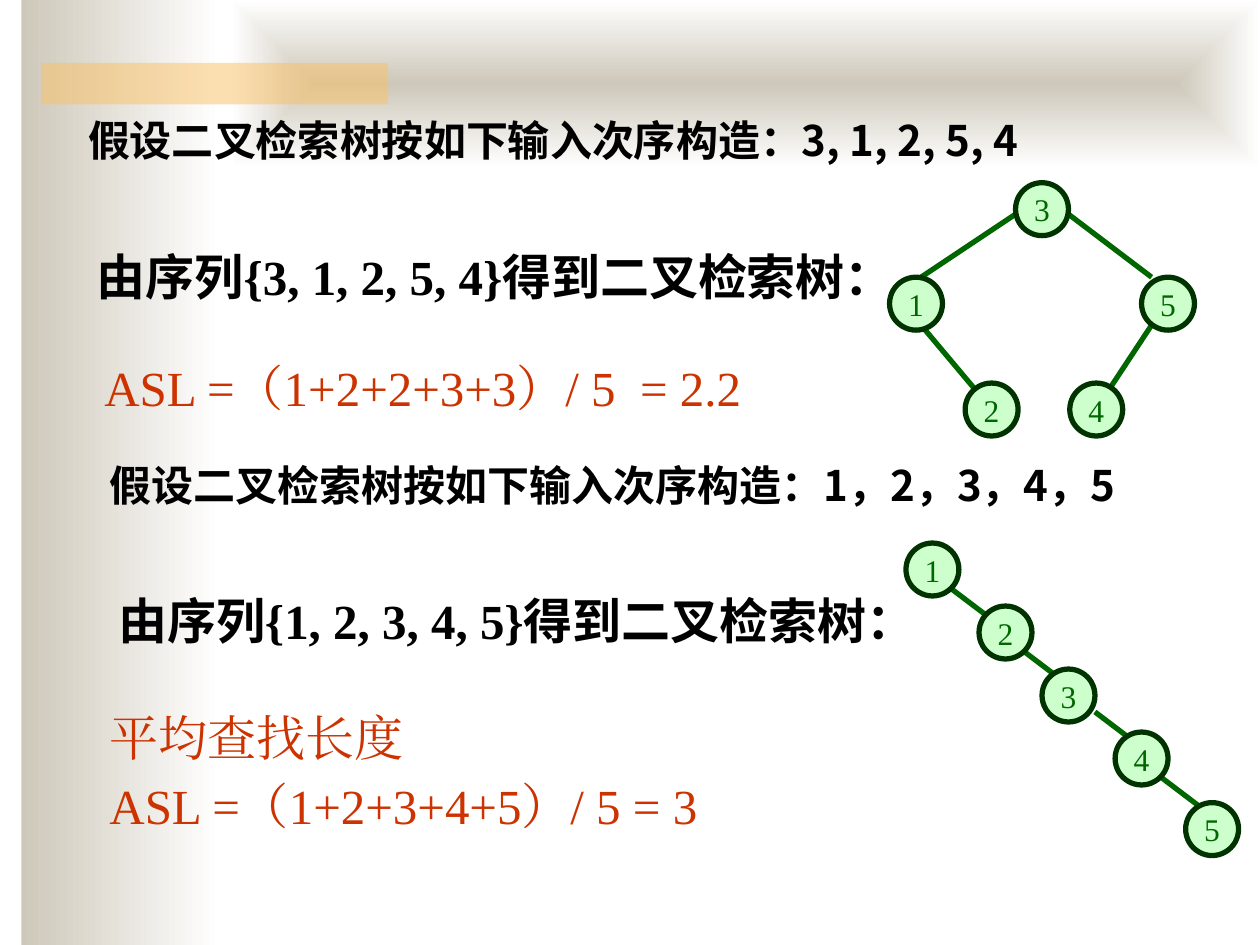
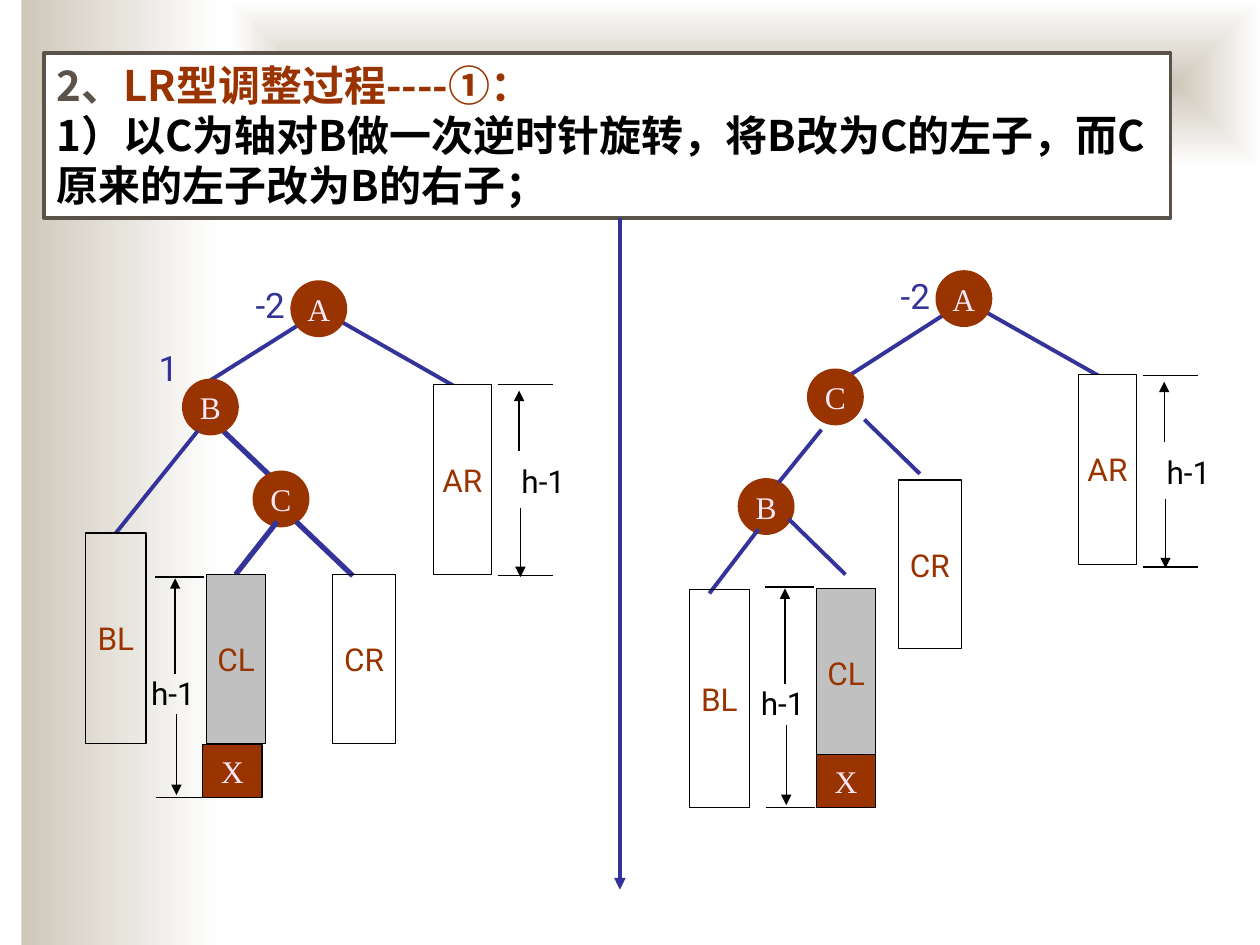
from dataclasses import dataclass

from lxml import etree
from pptx import Presentation
from pptx.dml.color import RGBColor
from pptx.enum.shapes import MSO_CONNECTOR, MSO_SHAPE
from pptx.enum.text import MSO_ANCHOR, MSO_AUTO_SIZE, PP_ALIGN
from pptx.oxml.ns import qn
from pptx.util import Inches, Pt

RECT, OVAL, LINE = MSO_SHAPE.RECTANGLE, MSO_SHAPE.OVAL, MSO_CONNECTOR.STRAIGHT
CENTER, JUSTIFY = PP_ALIGN.CENTER, PP_ALIGN.JUSTIFY
TOP, MIDDLE = MSO_ANCHOR.TOP, MSO_ANCHOR.MIDDLE
GROW = MSO_AUTO_SIZE.SHAPE_TO_FIT_TEXT

CJK, SANS, SERIF = "Noto Sans CJK SC", "Roboto", "Times New Roman"


@dataclass(frozen=True)
class Theme:
    """Colours, and text styles as (size, font, colour, bold)."""
    black: str = "000000"
    white: str = "FFFFFF"
    sand: str = "CEC8BA"
    gold: str = "FAC164"
    stone: str = "5B5249"
    rust: str = "993300"
    navy: str = "333399"
    gray: str = "C0C0C0"
    green: str = "006600"
    pine: str = "003300"
    mint: str = "CCFFCC"
    head: tuple = (24, CJK, "000000", True)
    lead: tuple = (24, CJK, "5B5249", True)
    title: tuple = (24, CJK, "993300", True)
    body: tuple = (28, CJK, "000000", True)
    keys: tuple = (28, SERIF, "000000", True)
    sums: tuple = (28, SERIF, "CC3300", False)
    node: tuple = (18, SERIF, "006600", False)
    disc: tuple = (18, SERIF, "FEE8F7", False)
    tag: tuple = (18, SANS, "993300", False)
    size: tuple = (18, SANS, "000000", False)
    factor: tuple = (20, SANS, "333399", False)


T = Theme()


def put(shapes, at, paras=(), kind=None, fill=None, edge=None, width=0.75):
    """Add a text box, or a preset shape with centred text, from paragraphs of (text, style) runs."""
    at = [Inches(n) for n in at]
    if kind is None:
        item = shapes.add_textbox(*at)
    else:
        item = shapes.add_shape(kind, *at)
        item.shadow.inherit = False
        if fill:
            item.fill.solid()
            item.fill.fore_color.rgb = RGBColor.from_string(fill)
        else:
            item.fill.background()
        if edge:
            item.line.color.rgb = RGBColor.from_string(edge)
            item.line.width = Pt(width)
        else:
            item.line.fill.background()
    frame = item.text_frame
    frame.word_wrap = kind is None
    frame.vertical_anchor = TOP if kind is None else MIDDLE
    for i, runs in enumerate(paras):
        para = frame.add_paragraph() if i else frame.paragraphs[0]
        if kind is not None:
            para.alignment = CENTER
        for text, style in runs:
            if text == "\n":
                para.add_line_break()
                continue
            run = para.add_run()
            run.text = text
            size, face, color, bold = style
            run.font.size, run.font.name, run.font.bold = Pt(size), face, bold
            run.font.color.rgb = RGBColor.from_string(color)
            east = etree.SubElement(run.font._element, qn("a:ea"))
            east.set("typeface", face)
    return item


def link(shapes, ends, color, width, arrow=False):
    """Add a straight line from (x1, y1) to (x2, y2), with an arrowhead at its end if asked."""
    item = shapes.add_connector(LINE, *[Inches(n) for n in ends])
    item.line.color.rgb = RGBColor.from_string(color)
    item.line.width = Pt(width)
    props = item._element.spPr
    if arrow:
        etree.SubElement(props.find(qn("a:ln")), qn("a:tailEnd")).set("type", "triangle")
    etree.SubElement(props, qn("a:effectLst"))


deck = Presentation()
deck.slide_width, deck.slide_height = Inches(10), Inches(7.5)

# Shared bands on both slides
pages = []
for _ in range(2):
    shapes = deck.slides.add_slide(deck.slide_layouts[6]).shapes
    side = put(shapes, (0.17, 0, 1.58, 7.5), kind=RECT)
    top = put(shapes, (1.83, 0, 8.17, 1.33), kind=RECT)
    for band in (side, top):
        band.fill.gradient()
        band.fill.gradient_angle = 0
        for stop, color, spot in zip(band.fill.gradient_stops, (T.sand, T.white), (0, 1)):
            stop.color.rgb = RGBColor.from_string(color)
            stop.position = spot
    grad = top._element.spPr.find(qn("a:gradFill"))
    grad.remove(grad.find(qn("a:lin")))
    shade = etree.SubElement(grad, qn("a:path"))
    shade.set("path", "shape")
    focus = etree.SubElement(shade, qn("a:fillToRect"))
    for edge in "ltrb":
        focus.set(edge, "50000")
    bar = put(shapes, (0.33, 0.5, 2.75, 0.33), kind=RECT, fill=T.gold)
    tint = bar._element.spPr.find(qn("a:solidFill"))[0]
    etree.SubElement(tint, qn("a:alpha")).set("val", "50000")
    pages.append(shapes)

# Slide 1: search trees from two input orders
shapes = pages[0]
for x, y, order in ((0.6, 0.86, "3, 1, 2, 5, 4"), (0.77, 3.6, "1,2,3,4,5")):
    text = "假设二叉检索树按如下输入次序构造:" + order
    text = text.replace(":", "\uff1a")
    if x > 0.7:
        text = text.replace(",", "\uff0c")
    box = put(shapes, (x, y, 8.82, 0.62), [[(text, T.head)]])
    para = box.text_frame.paragraphs[0]
    para.alignment, para.space_before = JUSTIFY, Pt(4.8)
    inset = para._p.get_or_add_pPr()
    inset.set("marL", str(Inches(0.38)))
    inset.set("indent", str(-Inches(0.38)))

notes = (
    ((0.67, 1.84, 6.94, 0.59),
     [[("由序列", T.body), ("{3, 1, 2, 5, 4}", T.keys), ("得到二叉检索树\uff1a", T.body)]]),
    ((0.73, 2.72, 5.82, 0.64), [[("ASL =\uff081+2+2+3+3\uff09/ 5  = 2.2", T.sums)]]),
    ((0.84, 4.57, 6.94, 0.64),
     [[("由序列", T.body), ("{1, 2, 3, 4, 5}", T.keys), ("得到二叉检索树\uff1a", T.body)]]),
    ((0.77, 5.5, 6.88, 1.14),
     [[("平均查找长度", T.sums)], [("ASL =\uff081+2+3+4+5\uff09/ 5 = 3", T.sums)]]),
)
for at, paras in notes:
    box = put(shapes, at, paras)
    box.text_frame.auto_size = GROW
    for para in box.text_frame.paragraphs:
        para.line_spacing = 1.15

bushy = ((8.06, 1.45, "3"), (9.06, 2.2, "5"), (8.49, 3.04, "4"),
         (7.06, 2.2, "1"), (7.66, 3.04, "2"))
chain = ((7.19, 4.31, "1"), (7.77, 4.81, "2"), (8.27, 5.31, "3"),
         (8.85, 5.81, "4"), (9.41, 6.37, "5"))
arms = [(8.06, 1.7, 7.31, 2.2), (8.48, 1.7, 9.14, 2.2),
        (7.31, 2.58, 7.73, 3.08), (9.14, 2.58, 8.81, 3.08)]
for i, x in enumerate((7.52, 8.1, 8.69, 9.19)):
    y = 4.65 + 0.5 * i
    arms.append((x, y, x + 0.33, y + 0.25))
for ends in arms:
    link(shapes, ends, T.green, 3)
for x, y, name in bushy + chain:
    put(shapes, (x, y, 0.42, 0.42), [[(name, T.node)]], OVAL, T.mint, T.pine, 3)

# Slide 2: first rotation of the LR case, before and after
shapes = pages[1]
panel = put(shapes, (0.35, 0.42, 8.94, 1.31), [[
    ("2、", T.lead), ("LR型调整过程----①\uff1a", T.title), ("\n", None),
    ("1\uff09以C为轴对B做一次逆时针旋转\uff0c将B改为C的左子\uff0c"
     "而C原来的左子改为B的右子\uff1b", T.head),
]], RECT, T.white, T.stone, 2)
panel.text_frame.word_wrap = True
panel.text_frame.vertical_anchor = TOP
panel.text_frame.paragraphs[0].alignment = PP_ALIGN.LEFT
panel.text_frame.auto_size = GROW
link(shapes, (4.92, 1.73, 4.92, 7.06), T.navy, 2.25, True)

# Height marks: bars and arrows are set out from the corner of the label
tall = (((0.13, -0.72, 0.52, -0.72), False), ((0.14, 1.03, 0.53, 1.03), False),
        ((0.29, 0.05, 0.29, -0.71), True), ((0.3, 0.37, 0.3, 1.01), True))
short = (((-0.09, -0.57, 0.35, -0.57), False), ((-0.09, 0.95, 0.35, 0.95), False),
         ((0.08, -0.04, 0.08, -0.52), True), ((0.09, 0.41, 0.09, 0.96), True))
for x, y, wide, marks in ((1.1, 5.3, 0.71, tall), (4.04, 3.62, 0.65, short),
                          (5.94, 5.38, 0.71, tall), (9.16, 3.55, 0.65, short)):
    group = shapes.add_group_shape().shapes
    label = put(group, (x, y, wide, 0.4), [[("h-1", T.size)]])
    label.text_frame.auto_size = GROW
    for (x1, y1, x2, y2), arrow in marks:
        link(group, (x + x1, y + y1, x + x2, y + y2), T.black, 0.75, arrow)

# Branches behind the discs, then discs, then branches in front
under = ((2.4, 2.56, 1.62, 3.05, 2.25), (2.72, 2.56, 3.72, 3.13, 2.25),
         (1.75, 3.4, 2.2, 3.83, 3), (7.52, 2.48, 6.74, 2.98, 2.25),
         (7.83, 2.48, 8.84, 3.05, 2.25), (6.86, 3.33, 7.3, 3.76, 2.25))
over = ((1.57, 3.42, 0.92, 4.23, 2.25), (2.2, 4.14, 1.87, 4.56, 3),
        (2.35, 4.14, 2.8, 4.57, 3), (6.52, 3.41, 6.18, 3.83, 2.25),
        (6.02, 4.2, 5.63, 4.71, 2.25), (6.26, 4.12, 6.71, 4.56, 2.25))
discs = ((2.32, 2.24, "A"), (1.46, 3.02, "B"), (2.02, 3.75, "C"),
         (7.44, 2.16, "A"), (6.42, 2.94, "C"), (5.87, 3.81, "B"))
for *ends, width in under:
    link(shapes, ends, T.navy, width)
for x, y, name in discs:
    put(shapes, (x, y, 0.42, 0.42), [[(name, T.disc)]], OVAL, T.rust, T.rust, 2.25)
for *ends, width in over:
    link(shapes, ends, T.navy, width)

# Subtrees, with the new leaf X below CL
trees = (((0.68, 4.23, 0.48, 1.67), "BL", None), ((2.64, 4.56, 0.5, 1.34), "CR", None),
         ((3.44, 3.05, 0.46, 1.51), "AR", T.white), ((1.64, 4.56, 0.47, 1.34), "CL", T.gray),
         ((1.61, 5.91, 0.47, 0.42), "X", T.rust),
         ((5.47, 4.68, 0.48, 1.73), "BL", None), ((7.13, 3.81, 0.5, 1.34), "CR", None),
         ((8.56, 2.97, 0.46, 1.51), "AR", T.white), ((6.48, 4.67, 0.47, 1.34), "CL", T.gray),
         ((6.48, 5.99, 0.47, 0.42), "X", T.rust))
for at, name, fill in trees:
    style = T.disc if name == "X" else T.tag
    put(shapes, at, [[(name, style)]], RECT, fill, T.black)

for x, y, text in ((1.93, 2.2, "-2"), (1.16, 2.7, "1"), (7.05, 2.13, "-2")):
    label = put(shapes, (x, y, 0.55, 0.43), [[(text, T.factor)]])
    label.text_frame.auto_size = GROW

deck.save("out.pptx")
